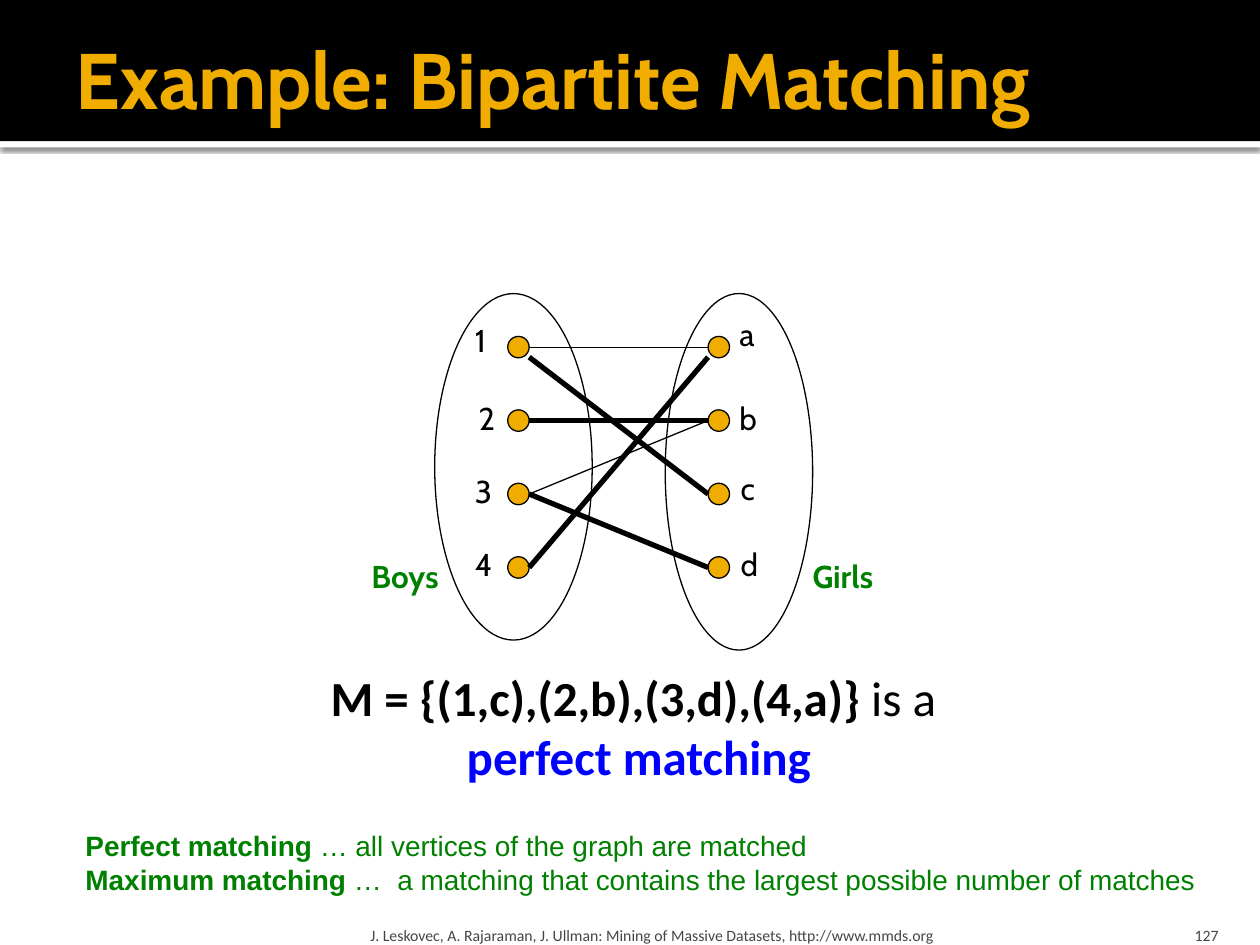
from lxml import etree
from pptx import Presentation
from pptx.dml.color import RGBColor
from pptx.enum.shapes import MSO_CONNECTOR, MSO_SHAPE
from pptx.enum.text import MSO_ANCHOR, PP_ALIGN
from pptx.oxml import parse_xml
from pptx.oxml.ns import nsdecls, qn
from pptx.util import Inches, Pt

OVAL, RECTANGLE = MSO_SHAPE.OVAL, MSO_SHAPE.RECTANGLE
STRAIGHT = MSO_CONNECTOR.STRAIGHT
LEFT, CENTER, RIGHT = PP_ALIGN.LEFT, PP_ALIGN.CENTER, PP_ALIGN.RIGHT
TOP, MIDDLE, BOTTOM = MSO_ANCHOR.TOP, MSO_ANCHOR.MIDDLE, MSO_ANCHOR.BOTTOM

BLACK, WHITE, GOLD = "000000", "FFFFFF", "F0AD00"
GREEN, BLUE, GRAY = "008000", "0000FF", "454545"

TITLE = "Example: Bipartite Matching"
BOYS = [("1", 3.67, 2.5), ("2", 3.7, 3.12), ("3", 3.67, 3.7), ("4", 3.67, 4.28)]
GIRLS = [("a", 5.77, 2.45), ("b", 5.77, 3.12), ("c", 5.78, 3.67), ("d", 5.78, 4.28)]
GROUPS = [("Boys", 2.85, 4.37, 0.74), ("Girls", 6.35, 4.37, 0.69)]
SETS = [(3.45, 2.33, 1.25, 2.75), (5.28, 2.33, 1.17, 2.83)]
EDGES = [("1", "a", 0.25, 0, 0), ("1", "c", 3, 0.08, 0), ("2", "b", 3, 0, 0),
         ("3", "b", 0.75, 0, 0), ("3", "d", 3, 0, 0), ("4", "a", 3, 0, 0.08)]
MATCHING = [[("M = {(1,c),(2,b),(3,d),(4,a)}", True, BLACK), (" is a ", False, BLACK),
             None, ("perfect matching", True, BLUE)]]
DEFINITIONS = [
    [("Perfect matching", True, GREEN),
     (" … all vertices of the graph are matched", False, GREEN)],
    [("Maximum matching", True, GREEN),
     (" …  a matching that contains the largest possible number of matches", False, GREEN)],
]
CREDIT = "J. Leskovec, A. Rajaraman, J. Ullman: Mining of Massive Datasets, http://www.mmds.org"
PAGE_NUMBER = "127"

NODE_SIZE, NODE_TOP, NODE_STEP = 0.17, 2.67, 0.583
BOY_LEFT, GIRL_LEFT = 4.03, 5.62
SHADOW = (f'<a:effectLst {nsdecls("a")}><a:outerShdw blurRad="31750" dist="10160" dir="5400000" '
          'rotWithShape="0"><a:srgbClr val="000000"><a:alpha val="60000"/></a:srgbClr>'
          '</a:outerShdw></a:effectLst>')


def color(value):
    """Turn a hex string into a colour."""
    return RGBColor.from_string(value)


def add_shape(slide, kind, box, fill=None, line=None):
    """Add a preset shape with an optional fill and thin outline."""
    shape = slide.shapes.add_shape(kind, *map(Inches, box))
    shape.shadow.inherit = False
    if fill:
        shape.fill.solid()
        shape.fill.fore_color.rgb = color(fill)
    else:
        shape.fill.background()
    if line:
        shape.line.color.rgb = color(line)
        shape.line.width = Pt(0.75)
    else:
        shape.line.fill.background()
    return shape


def add_edge(slide, start, end, width):
    """Connect two points with a black line."""
    edge = slide.shapes.add_connector(STRAIGHT, *map(Inches, start + end))
    edge.line.color.rgb = color(BLACK)
    edge.line.width = Pt(width)
    etree.SubElement(edge._element.spPr, qn("a:effectLst"))


def format_text(shape, paragraphs, font, size, align=LEFT, anchor=TOP, wrap=False,
                insets=(0.1, 0.05, 0.1, 0.05)):
    """Fill a text frame from lists of runs, where None is a line break."""
    frame = shape.text_frame
    frame.word_wrap = wrap
    frame.vertical_anchor = anchor
    frame.margin_left, frame.margin_top, frame.margin_right, frame.margin_bottom = map(
        Inches, insets)
    for index, runs in enumerate(paragraphs):
        paragraph = frame.add_paragraph() if index else frame.paragraphs[0]
        paragraph.alignment = align
        paragraph.font.name = font
        paragraph.font.size = Pt(size)
        for item in runs:
            if item is None:
                paragraph.add_line_break()
                continue
            text, bold, tint = item
            run = paragraph.add_run()
            run.text = text
            run.font.bold = bold
            run.font.color.rgb = color(tint)


def add_text(slide, box, paragraphs, font, size, **options):
    """Add a text box."""
    format_text(slide.shapes.add_textbox(*map(Inches, box)), paragraphs, font, size, **options)


def add_header(slide):
    """Place the title over a black band with a shadowed white rule."""
    rule = add_shape(slide, RECTANGLE, (0, 1.12, 10, 0.05), WHITE)
    properties = rule._element.spPr
    properties.replace(properties.find(qn("a:effectLst")), parse_xml(SHADOW))
    band = add_shape(slide, RECTANGLE, (0, 0, 10, 1.12), BLACK)
    title = slide.shapes.title
    title.left, title.top, title.width, title.height = map(Inches, (0.5, 0.08, 9, 1.08))
    format_text(title, [[(TITLE, True, GOLD)]], "Cabin", 45, anchor=MIDDLE, wrap=True,
                insets=(0.1, 0.05, 0.05, 0.05))
    band._element.addnext(title._element)


def add_graph(slide):
    """Draw the two vertex sets, their edges and labels."""
    centers = {}
    for left, labels in ((BOY_LEFT, BOYS), (GIRL_LEFT, GIRLS)):
        for row, (name, _, _) in enumerate(labels):
            top = NODE_TOP + row * NODE_STEP
            add_shape(slide, OVAL, (left, top, NODE_SIZE, NODE_SIZE), GOLD, BLACK)
            centers[name] = top + NODE_SIZE / 2
    for boy, girl, width, boy_drop, girl_drop in EDGES:
        add_edge(slide, (BOY_LEFT + NODE_SIZE, centers[boy] + boy_drop),
                 (GIRL_LEFT, centers[girl] + girl_drop), width)
    for name, left, top in BOYS + GIRLS:
        add_text(slide, (left, top, 0.36, 0.4), [[(name, False, BLACK)]], "Cabin", 18)
    for box in SETS:
        add_shape(slide, OVAL, box, line=BLACK)
    for name, left, top, width in GROUPS:
        add_text(slide, (left, top, width, 0.4), [[(name, True, GREEN)]], "Cabin", 18)


def main():
    """Build the slide and save it."""
    presentation = Presentation()
    presentation.slide_width, presentation.slide_height = Inches(10), Inches(7.5)
    slide = presentation.slides.add_slide(presentation.slide_layouts[5])
    add_header(slide)
    add_graph(slide)
    add_text(slide, (2.49, 5.25, 5.16, 1.04), MATCHING, "Calibri", 28, align=CENTER)
    add_text(slide, (8.97, 7.2, 0.8, 0.3), [[(PAGE_NUMBER, False, GRAY)]], "Calibri", 9,
             align=RIGHT, anchor=BOTTOM, wrap=True, insets=(0.1, 0.05, 0.1, 0))
    add_text(slide, (2.89, 7.2, 6.02, 0.3), [[(CREDIT, False, GRAY)]], "Calibri", 9,
             anchor=BOTTOM, wrap=True, insets=(0.05, 0.05, 0.05, 0))
    add_text(slide, (0.58, 6.53, 9.19, 0.64), DEFINITIONS, "Arial", 16)
    presentation.save("out.pptx")


if __name__ == "__main__":
    main()
